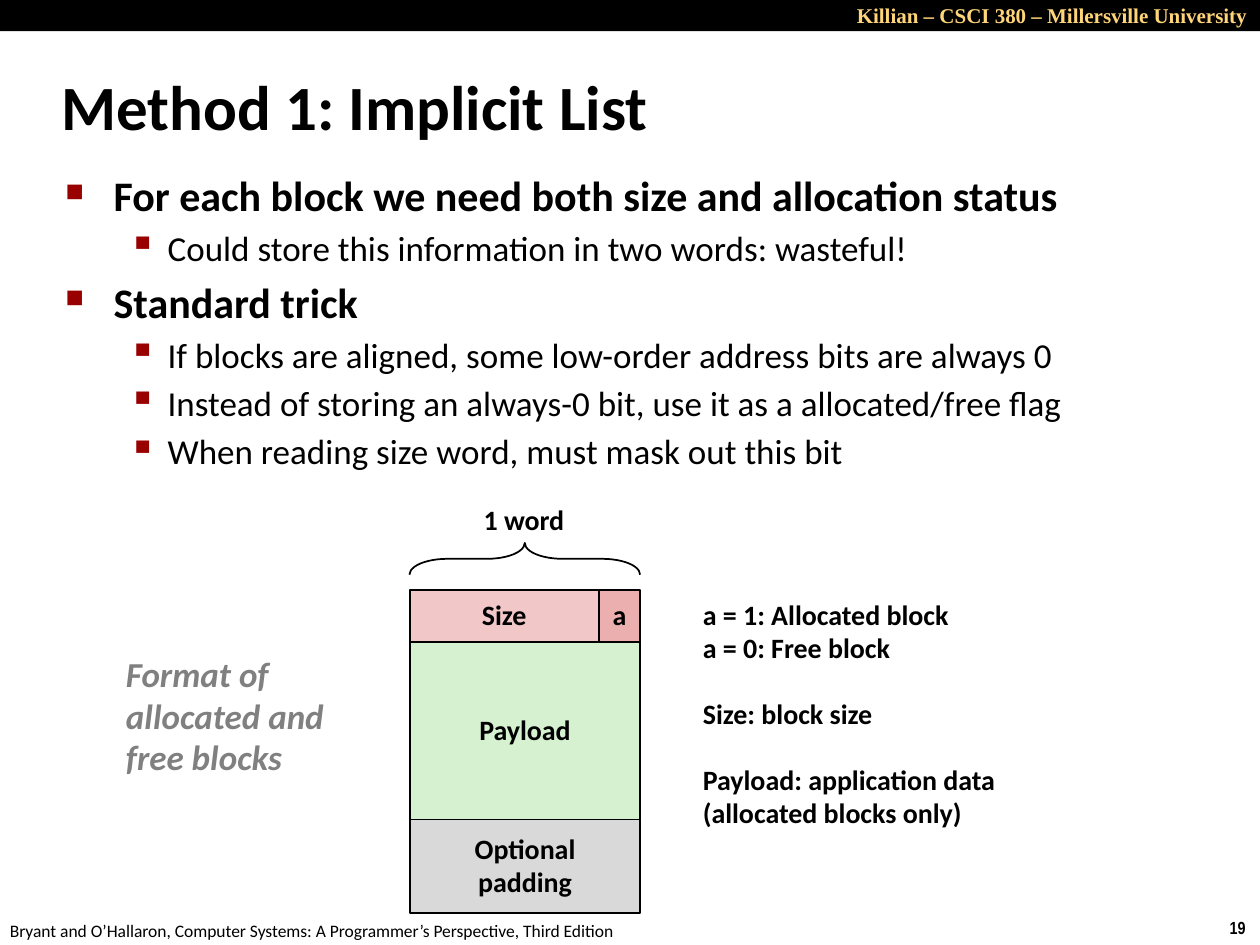
from lxml.etree import SubElement
from pptx import Presentation
from pptx.dml.color import RGBColor
from pptx.enum.shapes import MSO_SHAPE
from pptx.enum.text import MSO_ANCHOR, MSO_AUTO_SIZE, PP_ALIGN
from pptx.oxml.ns import qn
from pptx.util import Cm, Pt

BLACK = RGBColor(0x00, 0x00, 0x00)
GOLD = RGBColor(0xFF, 0xD5, 0x79)
GRAY = RGBColor(0x80, 0x80, 0x80)
PINK = RGBColor(0xF1, 0xC7, 0xC7)
ROSE = RGBColor(0xEB, 0xAF, 0xAF)
GREEN = RGBColor(0xD5, 0xF1, 0xCF)
SILVER = RGBColor(0xD9, 0xD9, 0xD9)
RED = "990000"

deck = Presentation()
deck.slide_width, deck.slide_height = Cm(25.4), Cm(19.05)
slide = deck.slides.add_slide(deck.slide_layouts[6])


def write(frame, lines, size=16, color=BLACK, face="Calibri", bold=True,
          tilt=False, align=PP_ALIGN.LEFT, gap=1.0):
    look = {"size": Pt(size), "name": face, "bold": bold, "italic": tilt}
    for i, line in enumerate(lines):
        para = frame.paragraphs[0] if i == 0 else frame.add_paragraph()
        para.alignment, para.line_spacing = align, gap
        run = para.add_run()
        run.text = line
        for key, value in look.items():
            setattr(run.font, key, value)
        run.font.color.rgb = color


def draw(kind, box, fill=None, line=BLACK):
    shape = slide.shapes.add_shape(kind, *map(Cm, box))
    shape.shadow.inherit = False
    if fill is None:
        shape.fill.background()
    else:
        shape.fill.solid()
        shape.fill.fore_color.rgb = fill
    shape.line.color.rgb = line
    shape.line.width = Pt(1)
    return shape


bar = draw(MSO_SHAPE.RECTANGLE, (0, 0, 25.4, 0.63), BLACK)
bar.line.fill.background()

FIT = MSO_AUTO_SIZE.SHAPE_TO_FIT_TEXT
labels = [
    ((15.44, -0.08, 9.96, 0.76), ["Killian – CSCI 380 – Millersville University"],
     {"size": 12, "color": GOLD, "face": "Times New Roman", "align": PP_ALIGN.RIGHT}, True),
    ((24.54, 18.36, 0.86, 0.69), ["19"], {"size": 10, "face": "Arial Narrow"}, False),
    ((-0.05, 18.42, 12.9, 0.69),
     ["Bryant and O’Hallaron, Computer Systems: A Programmer’s Perspective, Third Edition"],
     {"size": 10, "bold": False}, False),
    ((9.5, 10.03, 2.16, 0.94), ["1 word"], {"gap": 0.98}, False),
    ((2.29, 13.08, 4.52, 2.77), ["Format of", "allocated and", "free blocks"],
     {"size": 20, "color": GRAY, "tilt": True, "gap": 0.98}, False),
    ((13.92, 11.96, 6.48, 5.64),
     ["a = 1: Allocated block", "a = 0: Free block", "Size: block size",
      "Payload: application data", "(allocated blocks only)"], {"gap": 0.98}, False),
]
for box, lines, style, wrap in labels:
    frame = slide.shapes.add_textbox(*map(Cm, box)).text_frame
    frame.word_wrap, frame.auto_size = wrap, FIT
    write(frame, lines, **style)
for i in (2, 3):
    frame.paragraphs[i].space_before = Pt(19)

title = slide.shapes.add_textbox(Cm(0.99), Cm(1.32), Cm(18.31), Cm(1.6)).text_frame
title.word_wrap, title.vertical_anchor = True, MSO_ANCHOR.MIDDLE
write(title, ["Method 1: Implicit List"], size=36)

points = [
    (0, "For each block we need both size and allocation status"),
    (1, "Could store this information in two words: wasteful!"),
    (0, "Standard trick"),
    (1, "If blocks are aligned, some low-order address bits are always 0"),
    (1, "Instead of storing an always-0 bit, use it as a allocated/free flag"),
    (1, "When reading size word, must mask out this bit"),
]
levels = [
    {"size": 24, "bold": True, "left": 0.97, "hang": 0.97, "mark": "■", "scale": 60, "before": 4.5},
    {"size": 20, "bold": False, "left": 2.06, "hang": 0.79, "mark": "▪", "scale": 110, "before": 3.6},
]
body = slide.shapes.add_textbox(Cm(1.07), Cm(3.3), Cm(22.94), Cm(5.99)).text_frame
body.word_wrap = True
for i, (depth, text) in enumerate(points):
    rule = levels[depth]
    para = body.paragraphs[0] if i == 0 else body.add_paragraph()
    para.level = depth
    para.space_before = Pt(rule["before"] if i else 0)
    props = para._p.get_or_add_pPr()
    props.set("marL", str(Cm(rule["left"])))
    props.set("indent", str(-Cm(rule["hang"])))
    tint = SubElement(props, qn("a:buClr"))
    SubElement(tint, qn("a:srgbClr"), val=RED)
    SubElement(props, qn("a:buSzPct"), val=str(rule["scale"] * 1000))
    SubElement(props, qn("a:buChar"), char=rule["mark"])
    run = para.add_run()
    run.text = text
    look = {"size": Pt(rule["size"]), "name": "Calibri", "bold": rule["bold"]}
    for key, value in look.items():
        setattr(run.font, key, value)
    run.font.color.rgb = BLACK

cells = [
    ((8.26, 11.89, 3.81, 1.06), PINK, ["Size"]),
    ((8.26, 12.95, 4.65, 3.57), GREEN, ["Payload"]),
    ((12.07, 11.89, 0.84, 1.06), ROSE, ["a"]),
    ((8.26, 16.52, 4.65, 1.89), SILVER, ["Optional", "padding"]),
]
for box, fill, lines in cells:
    frame = draw(MSO_SHAPE.RECTANGLE, box, fill).text_frame
    frame.word_wrap, frame.vertical_anchor = False, MSO_ANCHOR.MIDDLE
    write(frame, lines, align=PP_ALIGN.CENTER, gap=0.98)

brace = draw(MSO_SHAPE.RIGHT_BRACE, (10.26, 8.94, 0.64, 4.65))
brace.rotation = 270
brace.adjustments[0] = 1.19
brace.adjustments[1] = 0.5

deck.save("out.pptx")
